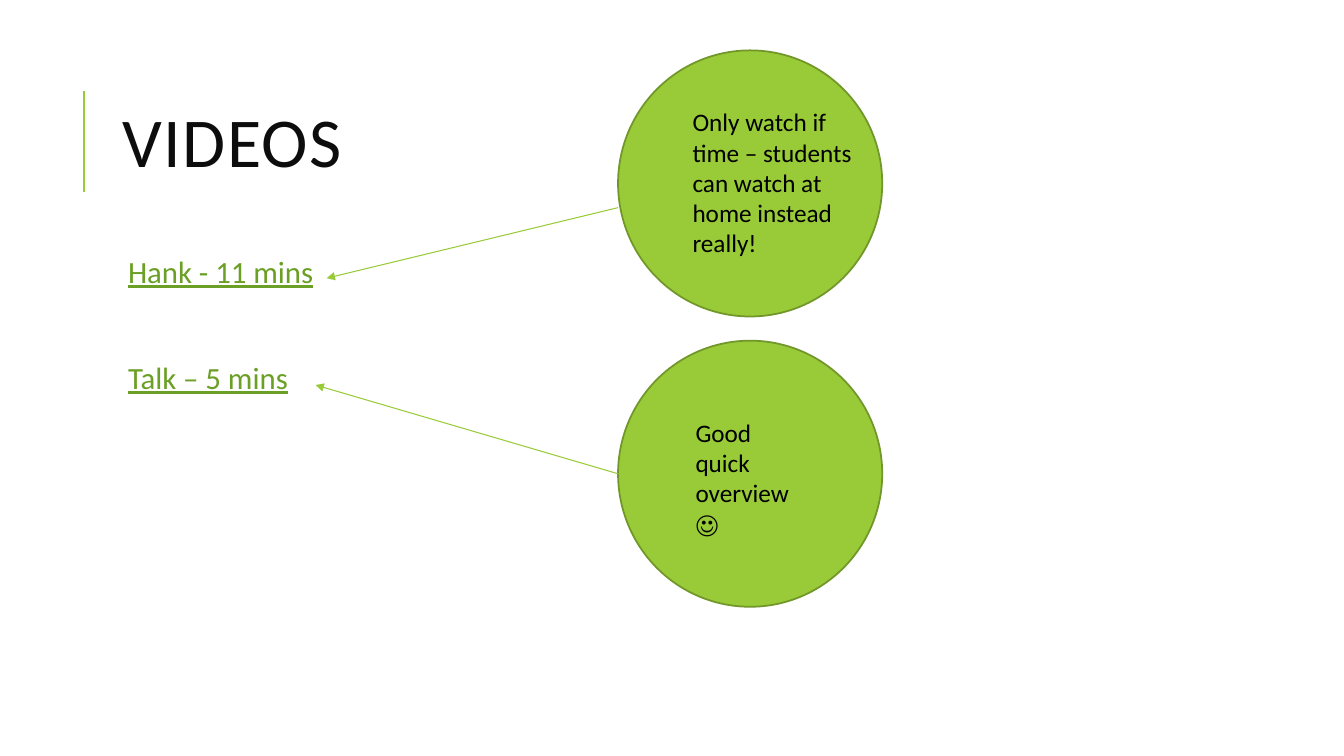
from dataclasses import dataclass

from lxml import etree
from pptx import Presentation
from pptx.dml.color import RGBColor
from pptx.enum.shapes import MSO_CONNECTOR, MSO_SHAPE
from pptx.enum.text import MSO_ANCHOR, MSO_AUTO_SIZE
from pptx.oxml.ns import qn
from pptx.util import Inches, Pt

STRAIGHT = MSO_CONNECTOR.STRAIGHT
OVAL = MSO_SHAPE.OVAL
TOP, MIDDLE = MSO_ANCHOR.TOP, MSO_ANCHOR.MIDDLE
GROW = MSO_AUTO_SIZE.SHAPE_TO_FIT_TEXT


@dataclass(frozen=True)
class Theme:
    font: str = "Calibri"
    accent: str = "99CB38"
    outline: str = "719629"
    title: str = "0D0D0D"
    video: str = "6B9F25"
    note: str = "000000"
    title_size: int = 50
    video_size: int = 22
    note_size: int = 18


class SlideBuilder:
    def __init__(self, slide, theme):
        self.s = slide
        self.t = theme

    def text_frame(self, left, top, width, height, anchor=TOP):
        box = self.s.shapes.add_textbox(
            Inches(left), Inches(top), Inches(width), Inches(height))
        tf = box.text_frame
        tf.word_wrap = True
        tf.vertical_anchor = anchor
        return tf

    def style(self, p, size, color):
        p.font.name = self.t.font
        p.font.size = Pt(size)
        p.font.color.rgb = RGBColor.from_string(color)

    def title(self, text, *place):
        p = self.text_frame(*place, anchor=MIDDLE).paragraphs[0]
        p.line_spacing = 0.8
        r = p.add_run()
        r.text = text
        r.font._element.set("spc", "100")
        self.style(p, self.t.title_size, self.t.title)

    def videos(self, names, gap, *place):
        tf = self.text_frame(*place)
        tf.margin_left = tf.margin_right = Inches(0.05)
        tf.margin_top = tf.margin_bottom = Inches(0.05)
        for i, name in enumerate(names):
            p = tf.add_paragraph() if i else tf.paragraphs[0]
            p._p.get_or_add_pPr().set("marL", str(Inches(0.1)))
            p.line_spacing = 0.9
            p.space_before = Pt(gap if i else 0)
            p.space_after = Pt(2)
            r = p.add_run()
            r.text = name
            r.font.underline = True
            self.style(p, self.t.video_size, self.t.video)

    def circle(self, left, top, width, height):
        sp = self.s.shapes.add_shape(
            OVAL, Inches(left), Inches(top), Inches(width), Inches(height))
        sp.shadow.inherit = False
        sp.fill.solid()
        sp.fill.fore_color.rgb = RGBColor.from_string(self.t.accent)
        sp.line.color.rgb = RGBColor.from_string(self.t.outline)
        sp.line.width = Pt(1.25)

    def note(self, text, *place):
        tf = self.text_frame(*place)
        tf.auto_size = GROW
        p = tf.paragraphs[0]
        p.add_run().text = text
        self.style(p, self.t.note_size, self.t.note)

    def line(self, start, end, width, arrow=False):
        c = self.s.shapes.add_connector(
            STRAIGHT, *(Inches(v) for v in (*start, *end)))
        c.line.color.rgb = RGBColor.from_string(self.t.accent)
        c.line.width = Pt(width)
        if arrow:
            etree.SubElement(c.line._get_or_add_ln(), qn("a:tailEnd"), type="triangle")
        etree.SubElement(c._element.spPr, qn("a:effectLst"))


def main():
    prs = Presentation()
    prs.slide_width, prs.slide_height = Inches(13.33), Inches(7.5)
    slide = SlideBuilder(prs.slides.add_slide(prs.slide_layouts[6]), Theme())

    # Title with its accent bar
    slide.line((0.83, 1.9), (0.83, 0.9), 1.5)
    slide.title("VIDEOS", 1.12, 0.64, 10.63, 1.64)

    # Video list
    slide.videos(["Hank - 11 mins", "Talk – 5 mins"], 50, 1.12, 2.5, 10.63, 4.4)

    # Circles behind the notes
    for top in (0.5, 3.38):
        slide.circle(6.13, top, 2.62, 2.64)

    # Notes
    slide.note("Good quick overview ☺", 6.8, 4.09, 1.29, 1.31)
    slide.note("Only watch if time – students can watch at home instead really!",
               6.77, 1.01, 1.82, 1.62)

    # Arrows from the circles to the videos
    slide.line((6.13, 2.06), (3.24, 2.76), 0.75, arrow=True)
    slide.line((6.13, 4.7), (3.13, 3.82), 0.75, arrow=True)

    prs.save("out.pptx")


if __name__ == "__main__":
    main()
